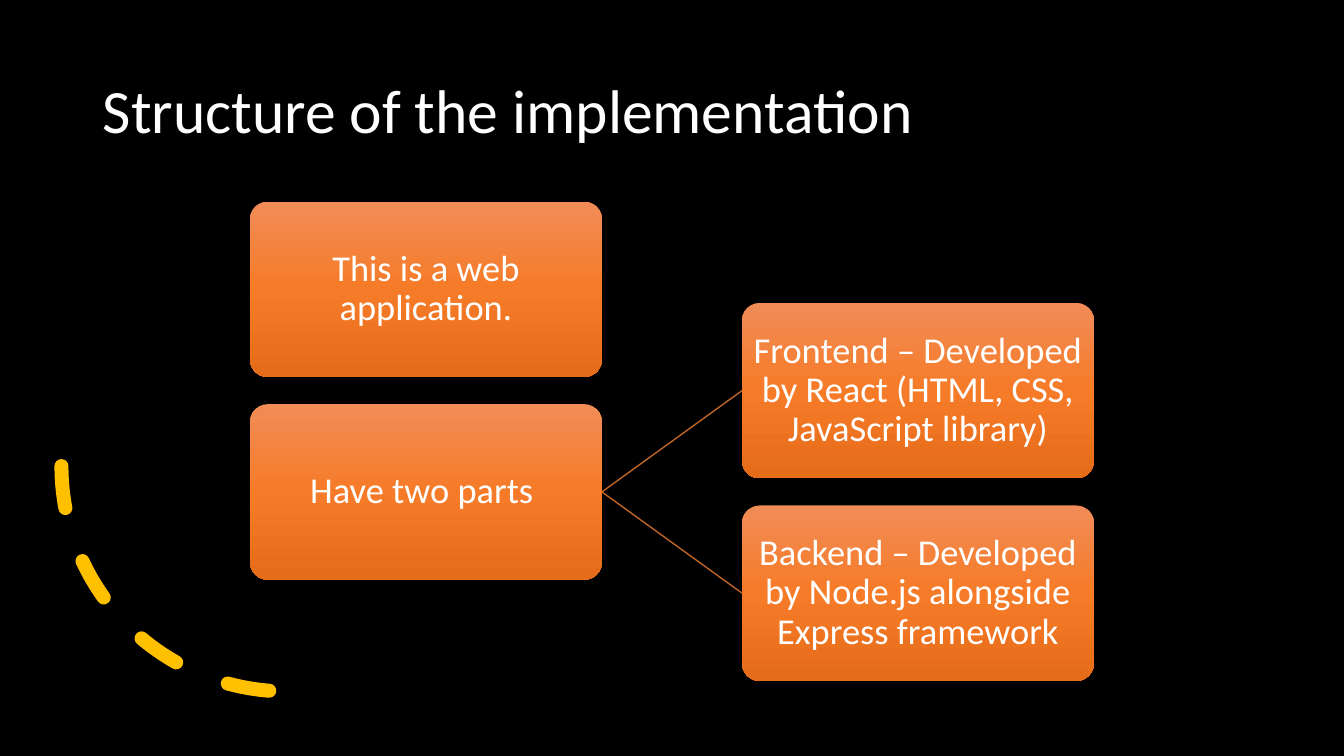
import copy
from dataclasses import dataclass

import pptx
import pptx.dml.color
import pptx.enum.shapes
import pptx.enum.text
import pptx.oxml
import pptx.oxml.ns
import pptx.util
from pptx.dml.color import RGBColor
from pptx.util import Inches, Pt

BLACK = RGBColor(0x00, 0x00, 0x00)
WHITE = RGBColor(0xFF, 0xFF, 0xFF)
AMBER = RGBColor(0xFF, 0xC0, 0x00)
RUST = RGBColor(0xBE, 0x64, 0x27)
CARD_GRADIENT = (
    (0, RGBColor(0xF1, 0x8C, 0x57)),
    (0.5, RGBColor(0xF6, 0x7B, 0x28)),
    (1, RGBColor(0xE5, 0x6C, 0x19)),
)
FONT = "Calibri"
CARD_WIDTH, CARD_HEIGHT = 3.49, 1.74
TOP, HALF_STEP = 2.0, 1.005
LEFT_COLUMN, RIGHT_COLUMN = 2.48, 7.36
RIGHT_SITE, LEFT_SITE = 3, 1


@dataclass(frozen=True)
class Card:
    text: str
    left: float
    half_steps: int


INTRO = Card("This is a web application.", LEFT_COLUMN, 0)
PARTS = Card("Have two parts ", LEFT_COLUMN, 2)
DETAILS = (
    Card("Frontend – Developed by React (HTML, CSS, JavaScript library)", RIGHT_COLUMN, 1),
    Card("Backend – Developed by Node.js alongside Express framework", RIGHT_COLUMN, 3),
)


def format_text(frame, text: str, size: int, alignment) -> None:
    frame.text = text
    frame.word_wrap = True
    frame.vertical_anchor = pptx.enum.text.MSO_ANCHOR.MIDDLE
    paragraph = frame.paragraphs[0]
    paragraph.alignment = alignment
    paragraph.line_spacing = 0.9
    paragraph.font.name = FONT
    paragraph.font.size = Pt(size)
    paragraph.font.color.rgb = WHITE


def fill_card(shape) -> None:
    shape.fill.gradient()
    shape.fill.gradient_angle = 270
    stop_list = shape._element.spPr.find(".//" + pptx.oxml.ns.qn("a:gsLst"))
    stop_list.append(copy.deepcopy(stop_list[-1]))
    for stop, (position, color) in zip(shape.fill.gradient_stops, CARD_GRADIENT):
        stop.position = position
        stop.color.rgb = color


def add_card(slide, card: Card):
    shape = slide.shapes.add_shape(
        pptx.enum.shapes.MSO_SHAPE.ROUNDED_RECTANGLE,
        Inches(card.left), Inches(TOP + card.half_steps * HALF_STEP),
        Inches(CARD_WIDTH), Inches(CARD_HEIGHT),
    )
    shape.adjustments[0] = 0.1
    shape.shadow.inherit = False
    shape.line.fill.background()
    fill_card(shape)
    frame = shape.text_frame
    frame.margin_left = frame.margin_right = Inches(0.02)
    frame.margin_top = frame.margin_bottom = Inches(0.02)
    format_text(frame, card.text, 26, pptx.enum.text.PP_ALIGN.CENTER)
    return shape


def add_branch(slide, parent, child) -> None:
    branch = slide.shapes.add_connector(pptx.enum.shapes.MSO_CONNECTOR.STRAIGHT, 0, 0, 0, 0)
    branch.begin_connect(parent, RIGHT_SITE)
    branch.end_connect(child, LEFT_SITE)
    branch.line.color.rgb = RUST
    branch.line.width = Pt(1)
    pptx.oxml.ns.qn("a:effectLst")
    branch._element.spPr.append(
        branch._element.spPr.makeelement(pptx.oxml.ns.qn("a:effectLst"), {})
    )


def add_dashed_arc(slide) -> None:
    arc = slide.shapes.add_shape(
        pptx.enum.shapes.MSO_SHAPE.ARC,
        Inches(0.61), Inches(2.39), Inches(4.47), Inches(4.47),
    )
    arc.rotation = 90
    arc._element.spPr.xfrm.set("flipV", "1")
    arc.shadow.inherit = False
    arc.fill.background()
    arc.line.color.rgb = AMBER
    arc.line.width = Pt(10)
    arc.line.dash_style = pptx.enum.dml.MSO_LINE.DASH
    arc._element.spPr.find(pptx.oxml.ns.qn("a:ln")).set("cap", "rnd")


def main() -> None:
    deck = pptx.Presentation()
    deck.slide_width, deck.slide_height = Inches(13.33), Inches(7.5)
    slide = deck.slides.add_slide(deck.slide_layouts.get_by_name("Title Only"))
    slide.background.fill.solid()
    slide.background.fill.fore_color.rgb = BLACK

    title = slide.shapes.title
    title.left, title.top = Inches(0.92), Inches(0.4)
    title.width, title.height = Inches(11.5), Inches(1.45)
    format_text(title.text_frame, "Structure of the implementation", 44,
                pptx.enum.text.PP_ALIGN.LEFT)

    add_dashed_arc(slide)
    add_card(slide, INTRO)
    parts = add_card(slide, PARTS)
    for detail in DETAILS:
        add_branch(slide, parts, add_card(slide, detail))
    deck.save("out.pptx")


if __name__ == "__main__":
    main()
